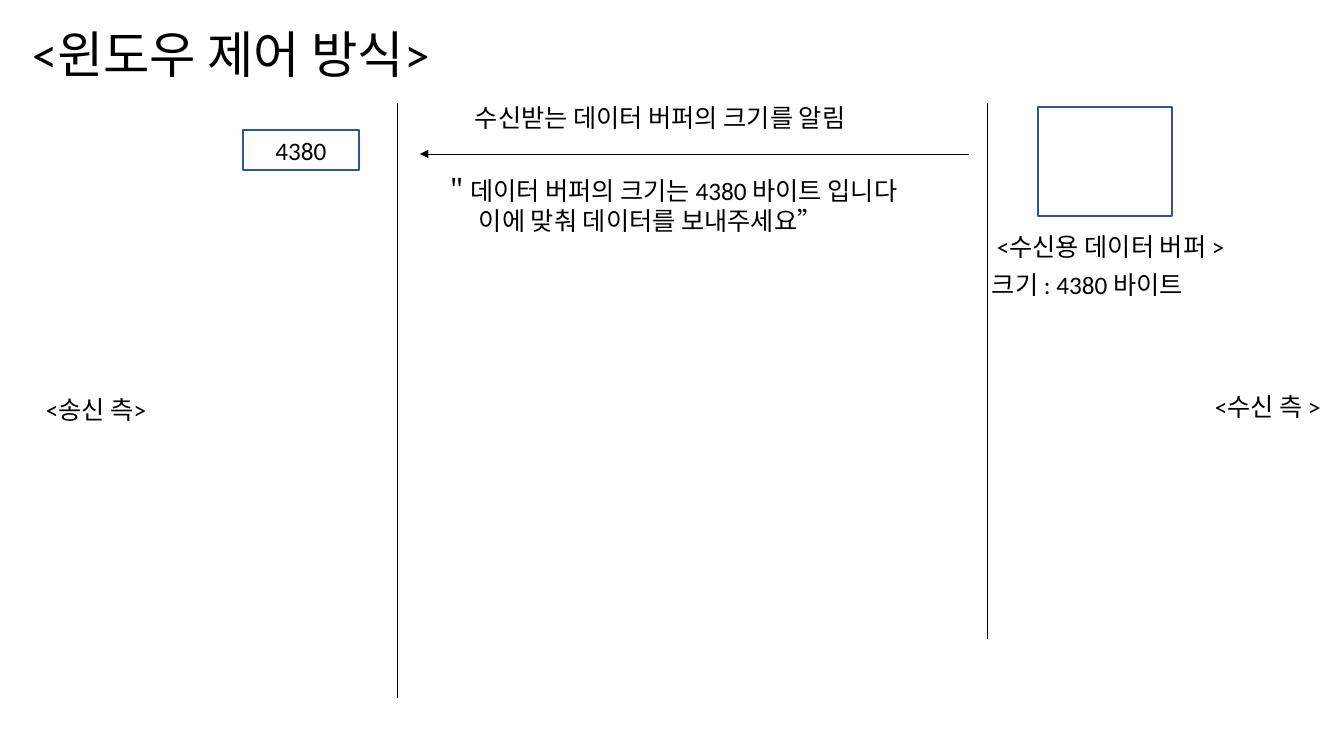
from lxml import etree
from pptx import Presentation
from pptx import util as u
from pptx.dml.color import RGBColor
from pptx.enum import shapes, text
from pptx.oxml import ns

BLACK = RGBColor(0, 0, 0)
BLUE = RGBColor(0x32, 0x54, 0x91)
FONT = "Calibri"
SCALE = 914400 / 100.8

TITLE = ("<윈도우 제어 방식>", (22, 18, 465, 72))
# lines, (left, top, width, height)
LABELS = [
    (["<송신 측>"], (36, 389, 207, 40)),
    (["<수신 측 >"], (1205, 386, 207, 40)),
    (["＂데이터 버퍼의 크기는 4380 바이트 입니다",
      "이에 맞춰 데이터를 보내주세요”"], (435, 170, 614, 72)),
    (["<수신용 데이터 버퍼 >"], (987, 226, 303, 40)),
    (["크기 : 4380 바이트"], (982, 264, 303, 40)),
    (["수신받는 데이터 버퍼의 크기를 알림"], (465, 97, 504, 40)),
]
HANG = 34  # later lines of a quote start under its first word
BOXES = [("4380", (243, 130, 116, 40)), ("", (1038, 107, 134, 109))]
# x1, y1, x2, y2, arrow
LINES = [
    (397, 103, 397, 698, False),
    (987, 103, 987, 639, False),
    (969, 154, 420, 154, True),
]


def px(n):
    return u.Emu(round(n * SCALE))


def style(par, size):
    par.font.name = FONT
    par.font.size = u.Pt(size)
    par.font.color.rgb = BLACK


def add_line(x1, y1, x2, y2, arrow):
    line = slide.shapes.add_connector(
        shapes.MSO_CONNECTOR.STRAIGHT, px(x1), px(y1), px(x2), px(y2))
    line.line.color.rgb = BLACK
    line.line.width = u.Pt(0.5)
    if arrow:
        tail = etree.SubElement(line.line._get_or_add_ln(), ns.qn("a:tailEnd"))
        tail.set("type", "triangle")
    etree.SubElement(line._element.spPr, ns.qn("a:effectLst"))


def add_label(lines, area):
    frame = slide.shapes.add_textbox(*map(px, area)).text_frame
    frame.word_wrap = True
    frame.text = "\n".join(lines)
    for i, par in enumerate(frame.paragraphs):
        if i:
            par._p.get_or_add_pPr().set("marL", str(px(HANG)))
        style(par, 18)


def add_box(label, area):
    box = slide.shapes.add_shape(
        shapes.MSO_SHAPE.FLOWCHART_PROCESS, *map(px, area))
    box.shadow.inherit = False
    box.fill.background()
    box.line.color.rgb = BLUE
    box.line.width = u.Pt(1)
    if label:
        frame = box.text_frame
        frame.text = label
        frame.vertical_anchor = text.MSO_ANCHOR.MIDDLE
        par = frame.paragraphs[0]
        par.alignment = text.PP_ALIGN.CENTER
        style(par, 18)


def set_title(words, area):
    title = slide.shapes.title
    title.left, title.top, title.width, title.height = map(px, area)
    frame = title.text_frame
    frame.text = words
    frame.word_wrap = True
    frame.auto_size = text.MSO_AUTO_SIZE.NONE
    frame.vertical_anchor = text.MSO_ANCHOR.TOP
    par = frame.paragraphs[0]
    par.alignment = text.PP_ALIGN.LEFT
    style(par, 36)


deck = Presentation()
deck.slide_width, deck.slide_height = px(1344), px(756)
slide = deck.slides.add_slide(deck.slide_layouts[5])
set_title(*TITLE)
for item in LINES:
    add_line(*item)
for item in LABELS:
    add_label(*item)
for item in BOXES:
    add_box(*item)
deck.save("out.pptx")
